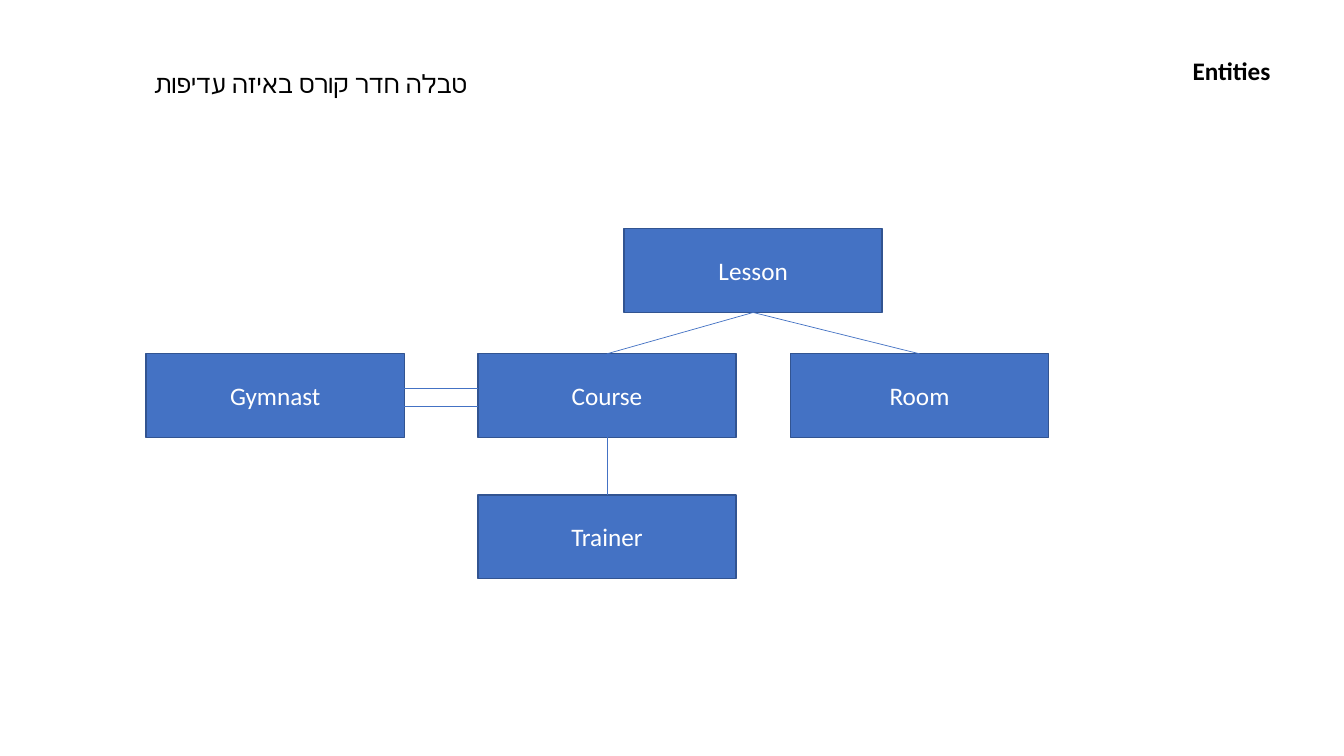
from typing import NamedTuple

from pptx import Presentation
from pptx.dml.color import RGBColor
from pptx.enum import shapes, text
from pptx.oxml.ns import qn
from pptx.util import Inches, Pt

FONT = "Calibri"
BLUE, EDGE, WHITE, BLACK = "4472C4", "325491", "FFFFFF", "000000"
WIDE, HIGH = 2.56, 0.83
TOP, BOTTOM = 0, 2  # connection sites of a rectangle


class Box(NamedTuple):
    name: str
    left: float
    top: float


class Link(NamedTuple):
    upper: str
    lower: str


MID = 3.51
BOXES = [
    Box("Lesson", 6.19, 2.27),
    Box("Room", 7.84, MID),
    Box("Course", 4.74, MID),
    Box("Trainer", 4.74, 4.91),
    Box("Gymnast", 1.45, MID),
]
LINKS = [Link("Lesson", "Room"), Link("Lesson", "Course"), Link("Course", "Trainer")]


def paint(target, color: str) -> None:
    """Give a fill, or the fill of a line, one solid colour."""
    target.solid()
    target.fore_color.rgb = RGBColor.from_string(color)


def write(shape, words: str, color: str, align, anchor, bold: bool = False) -> None:
    frame = shape.text_frame
    frame.text = words
    frame.word_wrap = True
    frame.vertical_anchor = anchor
    para = frame.paragraphs[0]
    para.alignment = align
    para._p.get_or_add_pPr().set("rtl", "1")
    font = para.runs[0].font
    font.name, font.size, font.bold = FONT, Pt(18), bold
    paint(font.fill, color)


def label(shape, words: str, bold: bool = False) -> None:
    """Write black text from the top right of a box that grows."""
    write(shape, words, BLACK, text.PP_ALIGN.RIGHT, text.MSO_ANCHOR.TOP, bold)
    shape.text_frame.auto_size = text.MSO_AUTO_SIZE.SHAPE_TO_FIT_TEXT


def draw_box(slide, box: Box):
    shape = slide.shapes.add_shape(
        shapes.MSO_SHAPE.RECTANGLE,
        Inches(box.left), Inches(box.top), Inches(WIDE), Inches(HIGH))
    shape.shadow.inherit = False
    paint(shape.fill, BLUE)
    paint(shape.line.fill, EDGE)
    shape.line.width = Pt(1)
    write(shape, box.name, WHITE, text.PP_ALIGN.CENTER, text.MSO_ANCHOR.MIDDLE)
    return shape


def draw_line(slide, x1: int, y1: int, x2: int, y2: int):
    line = slide.shapes.add_connector(shapes.MSO_CONNECTOR.STRAIGHT, x1, y1, x2, y2)
    paint(line.line.fill, BLUE)
    line.line.width = Pt(0.5)
    props = line._element.spPr
    props.append(props.makeelement(qn("a:effectLst"), {}))
    return line


def join(slide, upper, lower) -> None:
    """Tie the bottom of one box to the top of another."""
    line = draw_line(
        slide,
        upper.left + upper.width // 2, upper.top + upper.height,
        lower.left + lower.width // 2, lower.top)
    line.begin_connect(upper, BOTTOM)
    line.end_connect(lower, TOP)


def main() -> None:
    deck = Presentation()
    deck.slide_width, deck.slide_height = Inches(13.33), Inches(7.5)
    slide = deck.slides.add_slide(deck.slide_layouts[5])

    title = slide.shapes.title
    title.left, title.top = Inches(10.14), Inches(0.5)
    title.width, title.height = Inches(WIDE), Inches(0.4)
    label(title, "Entities", bold=True)

    note = slide.shapes.add_textbox(
        Inches(0.84), Inches(0.63), Inches(3.89), Inches(0.4))
    label(note, "טבלה חדר קורס באיזה עדיפות")

    drawn = {box.name: draw_box(slide, box) for box in BOXES}
    for link in LINKS:
        join(slide, drawn[link.upper], drawn[link.lower])

    gymnast, course = drawn["Gymnast"], drawn["Course"]
    for y in (3.85, 4.03):
        draw_line(slide, gymnast.left + gymnast.width, Inches(y),
                  course.left, Inches(y))

    deck.save("out.pptx")


if __name__ == "__main__":
    main()
